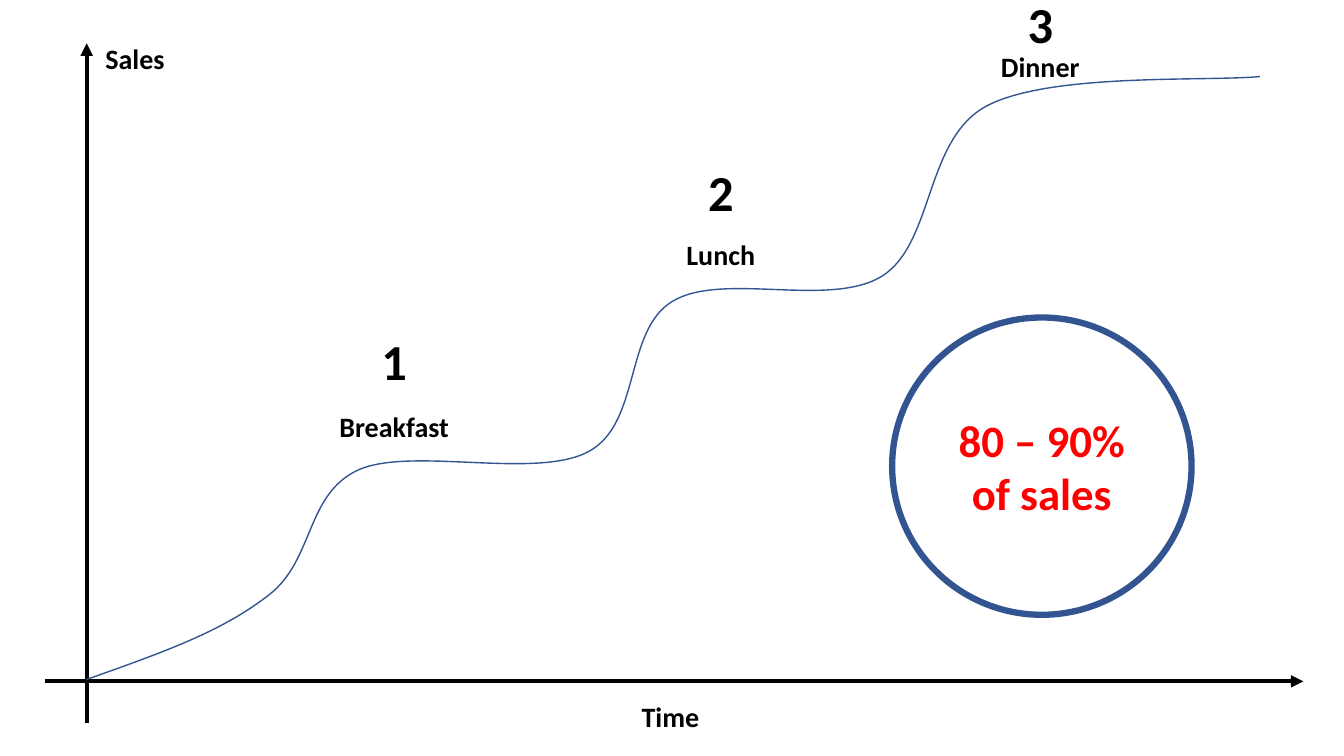
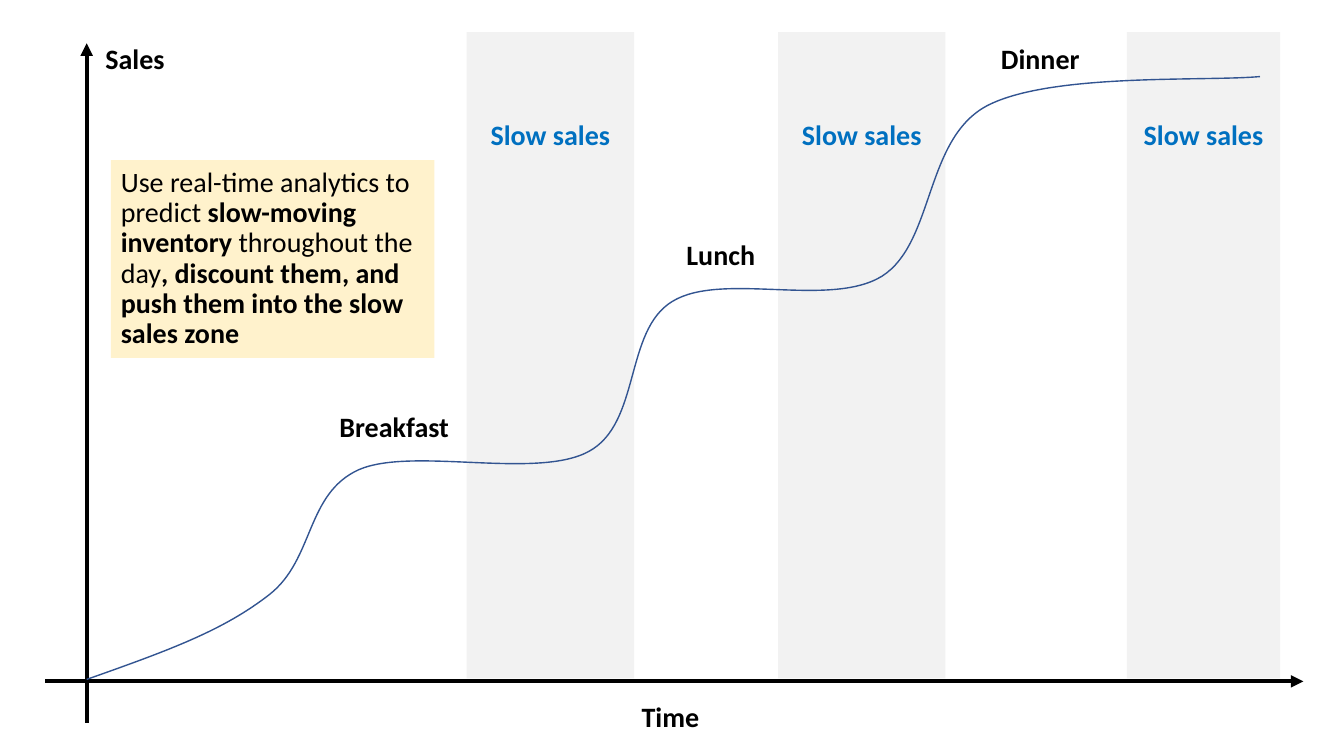
from dataclasses import dataclass

from lxml import etree
from pptx import Presentation
from pptx.dml.color import RGBColor
from pptx.enum.shapes import MSO_CONNECTOR, MSO_SHAPE
from pptx.enum.text import MSO_ANCHOR, PP_ALIGN
from pptx.oxml.ns import qn
from pptx.util import Emu, Inches, Pt

STRAIGHT = MSO_CONNECTOR.STRAIGHT
RECT, OVAL = MSO_SHAPE.RECTANGLE, MSO_SHAPE.OVAL
LEFT, CENTER = PP_ALIGN.LEFT, PP_ALIGN.CENTER
MIDDLE = MSO_ANCHOR.MIDDLE

BLACK = RGBColor(0x00, 0x00, 0x00)
NAVY = RGBColor(0x32, 0x54, 0x91)
BLUE = RGBColor(0x00, 0x70, 0xC0)
RED = RGBColor(0xFF, 0x00, 0x00)
GREY = RGBColor(0xF2, 0xF2, 0xF2)
CREAM = RGBColor(0xFF, 0xF2, 0xCC)

FONT = "Calibri"
SLIDE_W, SLIDE_H = Inches(13.333), Inches(7.5)


# All lengths below are percentages of the slide's width or height
def across(share: float) -> Emu:
    return Emu(round(SLIDE_W * share / 100))


def down(share: float) -> Emu:
    return Emu(round(SLIDE_H * share / 100))


@dataclass(frozen=True)
class Box:
    x: float
    y: float
    w: float
    h: float

    def emu(self) -> tuple[Emu, Emu, Emu, Emu]:
        return across(self.x), down(self.y), across(self.w), down(self.h)


@dataclass(frozen=True)
class Run:
    text: str
    bold: bool = True


@dataclass(frozen=True)
class Style:
    size: int = 20
    color: RGBColor = BLACK
    align: PP_ALIGN = CENTER
    spacing: float = 0.9


@dataclass(frozen=True)
class Meal:
    name: str
    x: float
    y: float
    number_y: float


LABEL = Style()
NUMBER = Style(size=36, spacing=1.0)
SLOW = Style(color=BLUE)
CALLOUT = Style(size=32, color=RED, spacing=1.0)
NOTE = Style(align=LEFT)

AXIS_X, AXIS_Y = 6.45, 90.13
LABEL_W, MEAL_H, AXIS_LABEL_H = 9.9, 9.87, 8
NUMBER_W, NUMBER_H = 11.4, 13.6
BAND_TOP, BAND_H = 4.27, 85.47
SLOW_TOP, SLOW_H = 13.47, 9.07

MEALS = (
    Meal("Breakfast", 24.38, 51.73, 40.8),
    Meal("Lunch", 48.68, 28.93, 18.53),
    Meal("Dinner", 72.45, 4.13, -3.73),
)
DINNER_RAISE = 1.06
BANDS = ((34.73, 12.45), (57.9, 12.45), (83.85, 11.4))  # left, width

# Start of the sales curve, then two controls and an end per Bezier segment
CURVE = (
    (AXIS_X, 89.87),
    (12.83, 85.87), (16.65, 83.33), (20.03, 78.67),
    (23.4, 74), (22.73, 65.33), (26.7, 62.13),
    (30.68, 59.07), (39.9, 63.47), (43.8, 59.73),
    (47.7, 56), (46.43, 43.73), (50.03, 39.87),
    (53.7, 35.87), (61.73, 40.8), (65.63, 36.53),
    (69.53, 32.13), (68.78, 18.4), (73.43, 14),
    (78.15, 9.6), (89.63, 10.8), (93.75, 10.13),
)


def write(sp, runs: tuple[Run, ...], style: Style) -> None:
    tf = sp.text_frame
    tf.word_wrap = True
    tf.vertical_anchor = MIDDLE
    p = tf.paragraphs[0]
    p.alignment = style.align
    p.line_spacing = style.spacing
    p.font.name = FONT
    p.font.size = Pt(style.size)
    p.font.color.rgb = style.color
    for run in runs:
        r = p.add_run()
        r.text = run.text
        r.font.bold = run.bold


def add_label(slide, box: Box, text: str, style: Style = LABEL) -> None:
    write(slide.shapes.add_textbox(*box.emu()), (Run(text),), style)


def add_block(slide, kind: MSO_SHAPE, box: Box, fill: RGBColor | None = None,
              line: RGBColor | None = None, width: float = 1):
    sp = slide.shapes.add_shape(kind, *box.emu())
    sp.shadow.inherit = False
    if fill is None:
        sp.fill.background()
    else:
        sp.fill.solid()
        sp.fill.fore_color.rgb = fill
    if line is None:
        sp.line.fill.background()
    else:
        sp.line.color.rgb = line
        sp.line.width = Pt(width)
    return sp


def add_axis(slide, x1: float, y1: float, x2: float, y2: float) -> None:
    axis = slide.shapes.add_connector(
        STRAIGHT, across(x1), down(y1), across(x2), down(y2))
    axis.line.color.rgb = BLACK
    axis.line.width = Pt(3)
    etree.SubElement(axis.line._get_or_add_ln(), qn("a:tailEnd"), type="triangle")
    etree.SubElement(axis._element.spPr, qn("a:effectLst"))


def add_curve(slide) -> None:
    points = [(across(x), down(y)) for x, y in CURVE]
    builder = slide.shapes.build_freeform(*points[0])
    builder.add_line_segments(points[1:], close=False)
    sp = builder.convert_to_shape()
    sp.shadow.inherit = False
    sp.fill.background()
    sp.line.color.rgb = NAVY
    sp.line.width = Pt(1)
    # Turn every three straight pieces into one Bezier segment
    pieces = list(sp._element.iter(qn("a:lnTo")))
    outline = pieces[0].getparent()
    for i in range(0, len(pieces), 3):
        bezier = etree.SubElement(outline, qn("a:cubicBezTo"))
        for piece in pieces[i:i + 3]:
            bezier.append(piece[0])
            outline.remove(piece)


def add_sales_chart(prs, bands: tuple = (), dinner_raise: float = 0):
    """Add a slide with axes, grey bands, the curve and its labels."""
    slide = prs.slides.add_slide(prs.slide_layouts[6])
    add_axis(slide, AXIS_X, 95.6, AXIS_X, 5.73)
    add_axis(slide, 3.38, AXIS_Y, 96.98, AXIS_Y)
    for x, w in bands:
        add_block(slide, RECT, Box(x, BAND_TOP, w, BAND_H), fill=GREY)
    add_curve(slide)
    for meal in MEALS:
        y = meal.y - (dinner_raise if meal is MEALS[-1] else 0)
        add_label(slide, Box(meal.x, y, LABEL_W, MEAL_H), meal.name)
    add_label(slide, Box(44.93, 91.07, LABEL_W, AXIS_LABEL_H), "Time")
    add_label(slide, Box(5.1, 4, LABEL_W, AXIS_LABEL_H), "Sales")
    return slide


def add_peaks_slide(prs) -> None:
    slide = add_sales_chart(prs)
    for number, meal in enumerate(MEALS, 1):
        x = meal.x - (NUMBER_W - LABEL_W) / 2
        add_label(slide, Box(x, meal.number_y, NUMBER_W, NUMBER_H),
                  str(number), NUMBER)
    circle = add_block(slide, OVAL, Box(66.38, 42, 22.28, 39.33),
                       line=NAVY, width=4.5)
    write(circle, (Run("80 – 90% of sales"),), CALLOUT)


def add_slow_sales_slide(prs) -> None:
    slide = add_sales_chart(prs, BANDS, DINNER_RAISE)
    note = add_block(slide, RECT, Box(8.25, 21.2, 24.08, 26.13), fill=CREAM)
    write(note, (
        Run("Use real-time analytics to predict ", bold=False),
        Run("slow-moving inventory "),
        Run("throughout the day", bold=False),
        Run(", discount them, and push them into the slow sales zone"),
    ), NOTE)
    for x, w in BANDS:
        add_label(slide, Box(x, SLOW_TOP, w, SLOW_H), "Slow sales", SLOW)


def main() -> None:
    prs = Presentation()
    prs.slide_width, prs.slide_height = SLIDE_W, SLIDE_H
    add_peaks_slide(prs)
    add_slow_sales_slide(prs)
    prs.save("out.pptx")


if __name__ == "__main__":
    main()
